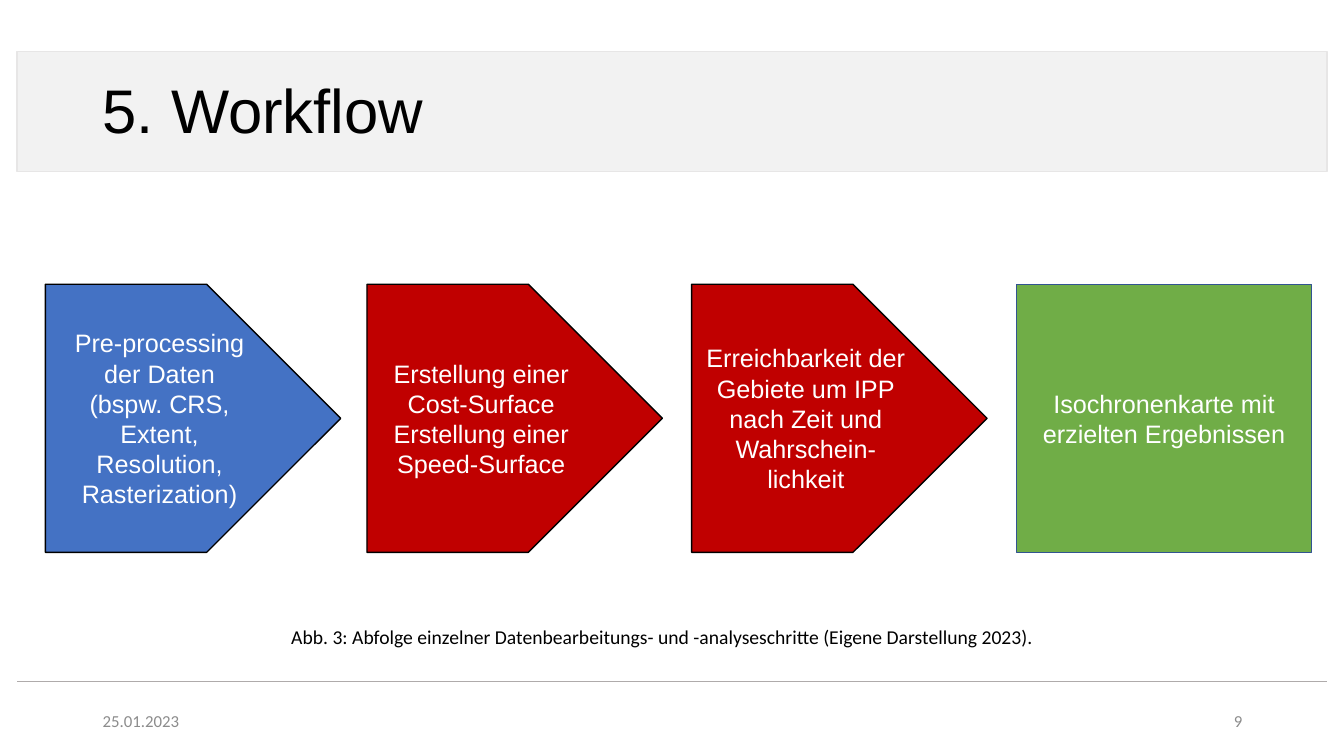
from pptx import Presentation
from pptx.dml.color import RGBColor
from pptx.enum.shapes import MSO_CONNECTOR, MSO_SHAPE
from pptx.enum.text import MSO_ANCHOR, PP_ALIGN
from pptx.oxml.ns import qn
from pptx.util import Inches, Pt
from lxml import etree


def rgb(value):
    return RGBColor.from_string(value)


def add_text(sp, paragraphs, size, font, color, align=PP_ALIGN.LEFT,
             anchor=MSO_ANCHOR.MIDDLE, spacing=None):
    tf = sp.text_frame
    tf.word_wrap = True
    tf.vertical_anchor = anchor
    for i, text in enumerate(paragraphs):
        p = tf.paragraphs[0] if i == 0 else tf.add_paragraph()
        p.alignment = align
        p.line_spacing = spacing
        r = p.add_run()
        r.text = text
        r.font.size = Pt(size)
        r.font.name = font
        r.font.color.rgb = rgb(color)


prs = Presentation()
prs.slide_width = Inches(13.33)
prs.slide_height = Inches(7.5)
s = prs.slides.add_slide(prs.slide_layouts[6])

# Title band and workflow steps: shape, left, top, width, height, fill, line, text
STEP_TOP, STEP_W, STEP_H = 2.82, 2.93, 2.66
ARROW, RECT = MSO_SHAPE.PENTAGON, MSO_SHAPE.RECTANGLE
shapes = [
    (RECT, 0.17, 0.51, 12.99, 1.19, "F2F2F2", "E7E6E6", []),
    (ARROW, 0.45, STEP_TOP, STEP_W, STEP_H, "4472C4", "000000",
     ["Pre-processing der Daten",
      "(bspw. CRS, Extent, Resolution, Rasterization)"]),
    (ARROW, 3.64, STEP_TOP, STEP_W, STEP_H, "C00000", "000000",
     ["Erstellung einer Cost-Surface", "Erstellung einer Speed-Surface"]),
    (ARROW, 6.86, STEP_TOP, STEP_W, STEP_H, "C00000", "000000",
     ["Erreichbarkeit der Gebiete um IPP",
      "nach Zeit und Wahrschein-lichkeit"]),
    (RECT, 10.08, STEP_TOP, STEP_W, STEP_H, "70AD47", "325491",
     ["Isochronenkarte mit erzielten Ergebnissen"]),
]
for kind, left, top, width, height, fill, line, paragraphs in shapes:
    sp = s.shapes.add_shape(kind, Inches(left), Inches(top), Inches(width), Inches(height))
    sp.shadow.inherit = False
    sp.fill.solid()
    sp.fill.fore_color.rgb = rgb(fill)
    sp.line.color.rgb = rgb(line)
    sp.line.width = Pt(1)
    add_text(sp, paragraphs, 18, "Arial", "FFFFFF", PP_ALIGN.CENTER)

# Footer rule
rule = s.shapes.add_connector(MSO_CONNECTOR.STRAIGHT, Inches(0.17), Inches(6.76),
                              Inches(13.16), Inches(6.76))
rule.line.color.rgb = rgb("AFABAB")
rule.line.width = Pt(0.5)
etree.SubElement(rule._element.spPr, qn("a:effectLst"))

# Title, caption, date and slide number
LEFT, RIGHT = PP_ALIGN.LEFT, PP_ALIGN.RIGHT
MIDDLE, TOP = MSO_ANCHOR.MIDDLE, MSO_ANCHOR.TOP
texts = [
    (0.92, 0.4, 11.5, 1.45, "5. Workflow", 44, "Arial", "000000", LEFT, MIDDLE, 0.9),
    (2.79, 6.15, 10, 0.34,
     "Abb. 3: Abfolge einzelner Datenbearbeitungs- und -analyseschritte "
     "(Eigene Darstellung 2023).", 14, "Calibri", "000000", LEFT, TOP, None),
    (0.92, 6.95, 3, 0.4, "25.01.2023", 12, "Calibri", "8C8C8C", LEFT, MIDDLE, None),
    (9.42, 6.95, 3, 0.4, "9", 12, "Calibri", "8C8C8C", RIGHT, MIDDLE, None),
]
for left, top, width, height, text, *style in texts:
    sp = s.shapes.add_textbox(Inches(left), Inches(top), Inches(width), Inches(height))
    add_text(sp, [text], *style)

prs.save("out.pptx")
